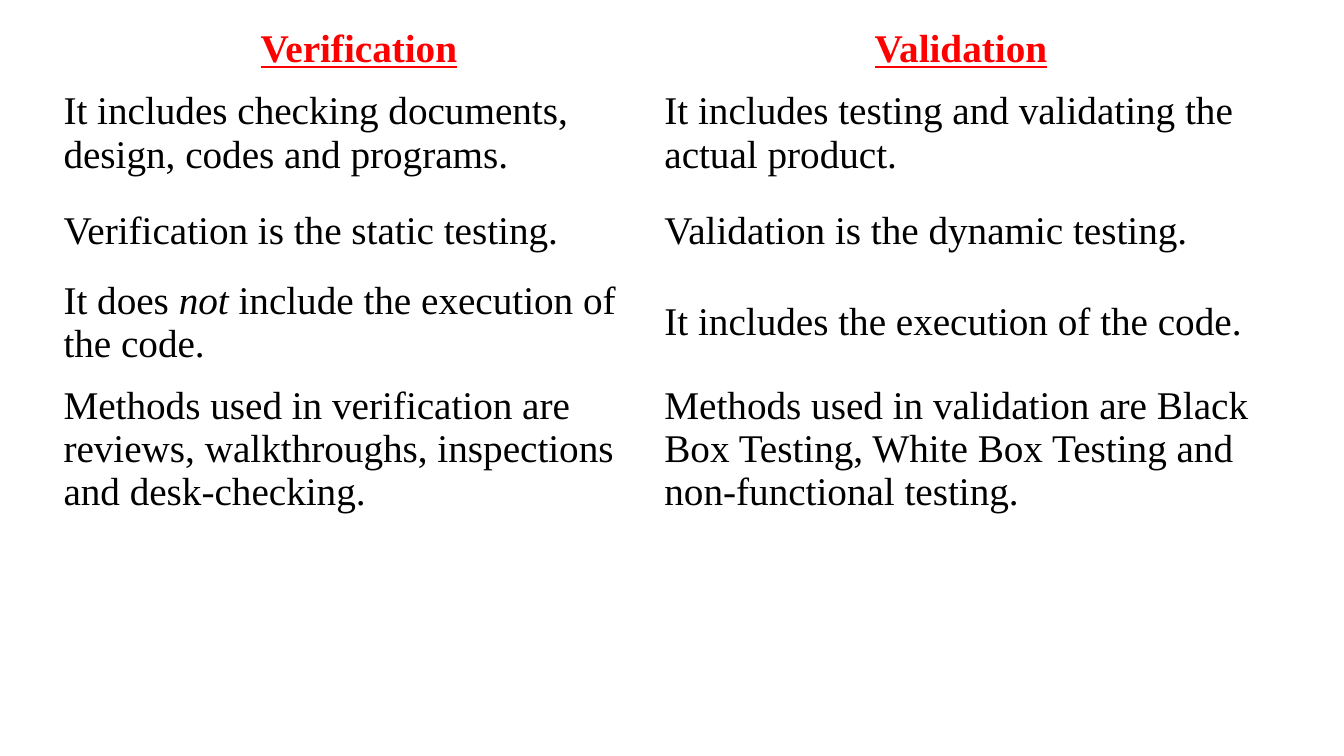
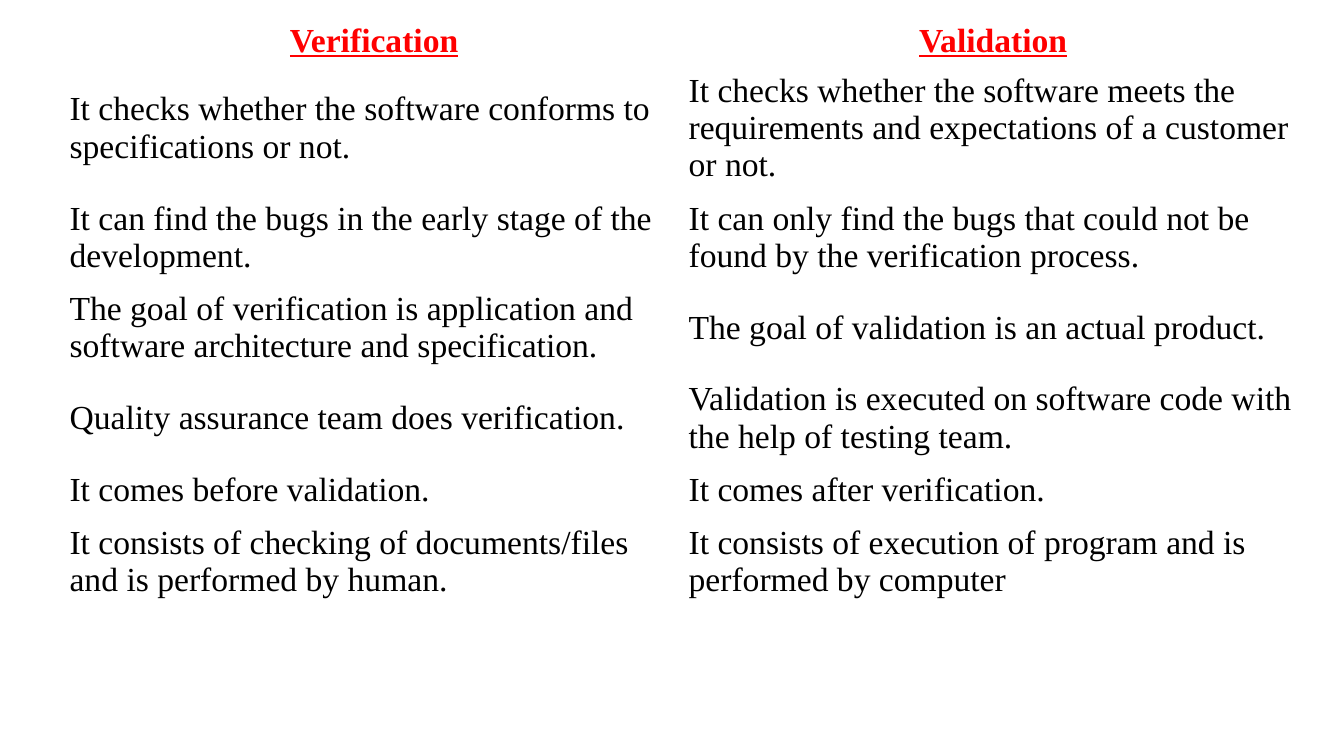
from dataclasses import dataclass

from pptx import Presentation
from pptx import util as u
from pptx.dml import color
from pptx.enum import text

PX = 9144  # EMU per px, 100 px to the inch


def px(length):
    return u.Emu(length * PX)


# Shared look
@dataclass(frozen=True)
class Theme:
    font: str = "Times New Roman"
    heading: color.RGBColor = color.RGBColor(0xFF, 0x00, 0x00)
    body: color.RGBColor = color.RGBColor(0x00, 0x00, 0x00)
    background: color.RGBColor = color.RGBColor(0xFF, 0xFF, 0xFF)
    large: int = 28
    medium: int = 24
    side_margin: int = 5
    heading_margin: int = 5
    body_margin: int = 8


THEME = Theme()
HEADINGS = ("Verification", "Validation")

# Row texts; asterisks enclose italics
TESTING_ROWS = [
    ("It includes checking documents, design, codes and programs.",
     "It includes testing and validating the actual product."),
    ("Verification is the static testing.",
     "Validation is the dynamic testing."),
    ("It does *not* include the execution of the code.",
     "It includes the execution of the code."),
    ("Methods used in verification are reviews, walkthroughs, inspections and desk-checking.",
     "Methods used in validation are Black Box Testing, White Box Testing and non-functional testing."),
]
PROCESS_ROWS = [
    ("It checks whether the software conforms to specifications or not.",
     "It checks whether the software meets the requirements and expectations of a customer or not."),
    ("It can find the bugs in the early stage of the development.",
     "It can only find the bugs that could not be found by the verification process."),
    ("The goal of verification is application and software architecture and specification.",
     "The goal of validation is an actual product."),
    ("Quality assurance team does verification.",
     "Validation is executed on software code with the help of testing team."),
    ("It comes before validation.",
     "It comes after verification."),
    ("It consists of checking of documents/files and is performed by human.",
     "It consists of execution of program and is performed by computer"),
]


def add_runs(paragraph, content):
    for index, part in enumerate(content.split("*")):
        run = paragraph.add_run()
        run.text = part
        if index % 2:
            run.font.italic = True


def fill_cell(cell, content, size, is_heading):
    margin = THEME.heading_margin if is_heading else THEME.body_margin
    cell.margin_left = cell.margin_right = px(THEME.side_margin)
    cell.margin_top = cell.margin_bottom = px(margin)
    cell.vertical_anchor = text.MSO_ANCHOR.MIDDLE
    paragraph = cell.text_frame.paragraphs[0]
    add_runs(paragraph, content)
    font = paragraph.font
    font.name = THEME.font
    font.size = u.Pt(size)
    font.bold = font.underline = is_heading
    font.color.rgb = THEME.heading if is_heading else THEME.body
    if is_heading:
        paragraph.alignment = text.PP_ALIGN.CENTER


def add_comparison(slide, left, top, widths, heights, rows, size):
    """Add a two-column table; a height without a text row makes an empty merged row."""
    shape = slide.shapes.add_table(len(heights), len(widths), px(left), px(top),
                                   px(sum(widths)), px(sum(heights)))
    table = shape.table
    table.first_row = table.horz_banding = False
    for column, width in zip(table.columns, widths):
        column.width = px(width)
    for row, height in zip(table.rows, heights):
        row.height = px(height)
    for cell in table.iter_cells():
        cell.fill.solid()
        cell.fill.fore_color.rgb = THEME.background

    lines = [HEADINGS, *rows]
    for row_index, line in enumerate(lines):
        for column_index, content in enumerate(line):
            fill_cell(table.cell(row_index, column_index), content, size, row_index == 0)
    for row_index in range(len(lines), len(heights)):
        table.cell(row_index, 0).merge(table.cell(row_index, len(widths) - 1))


def add_slide(presentation):
    slide = presentation.slides.add_slide(presentation.slide_layouts[6])
    slide.background.fill.solid()
    slide.background.fill.fore_color.rgb = THEME.background
    return slide


def main():
    presentation = Presentation()
    presentation.slide_width, presentation.slide_height = px(1333), px(750)

    # Testing compared
    add_comparison(add_slide(presentation), 58, 22, (596, 598),
                   (49, 114, 80, 92, 149, 154), TESTING_ROWS, THEME.large)
    # Process compared
    add_comparison(add_slide(presentation), 64, 17, (614, 614),
                   (39, 84, 64, 64, 64, 43, 64), PROCESS_ROWS, THEME.medium)

    presentation.save("out.pptx")


if __name__ == "__main__":
    main()
